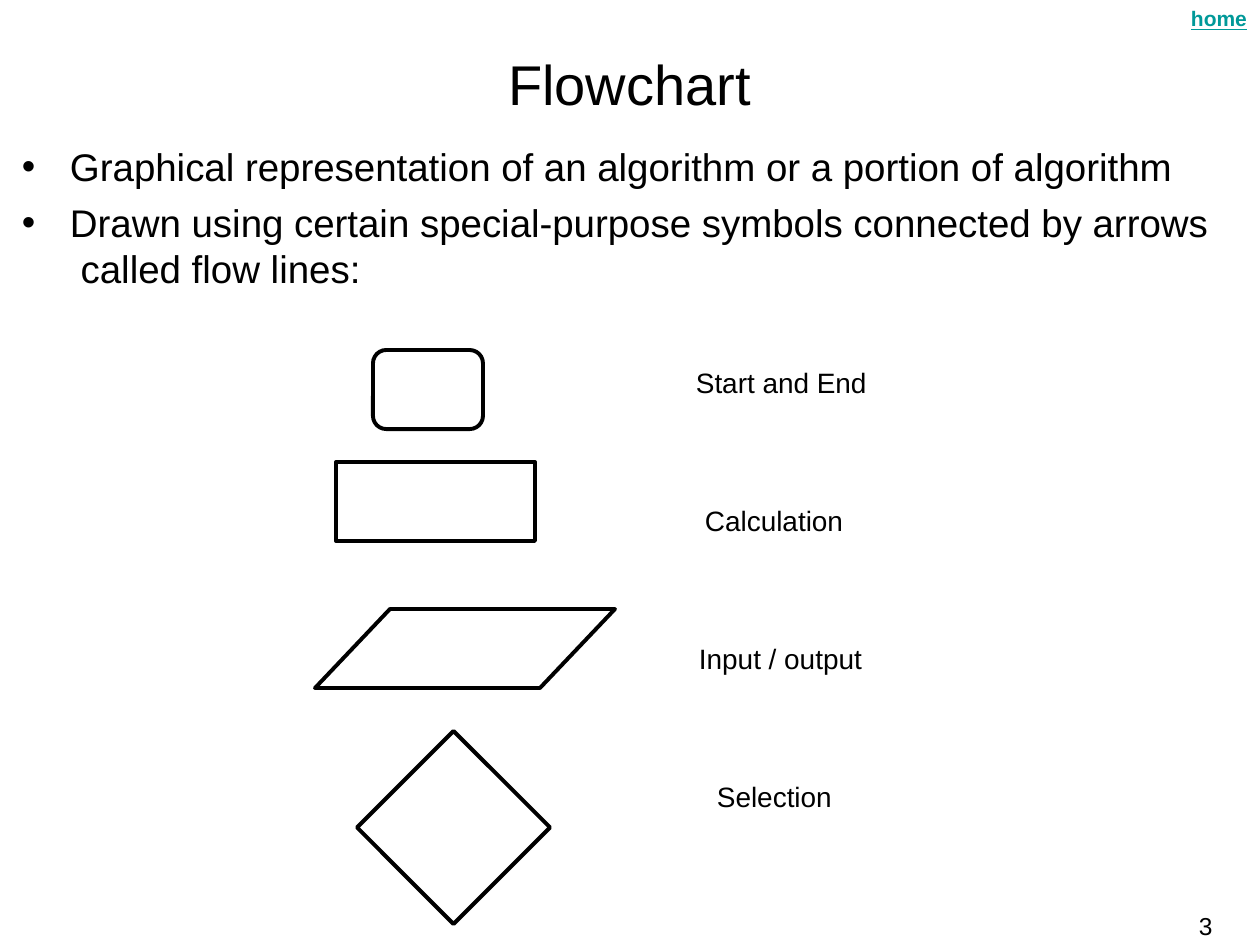
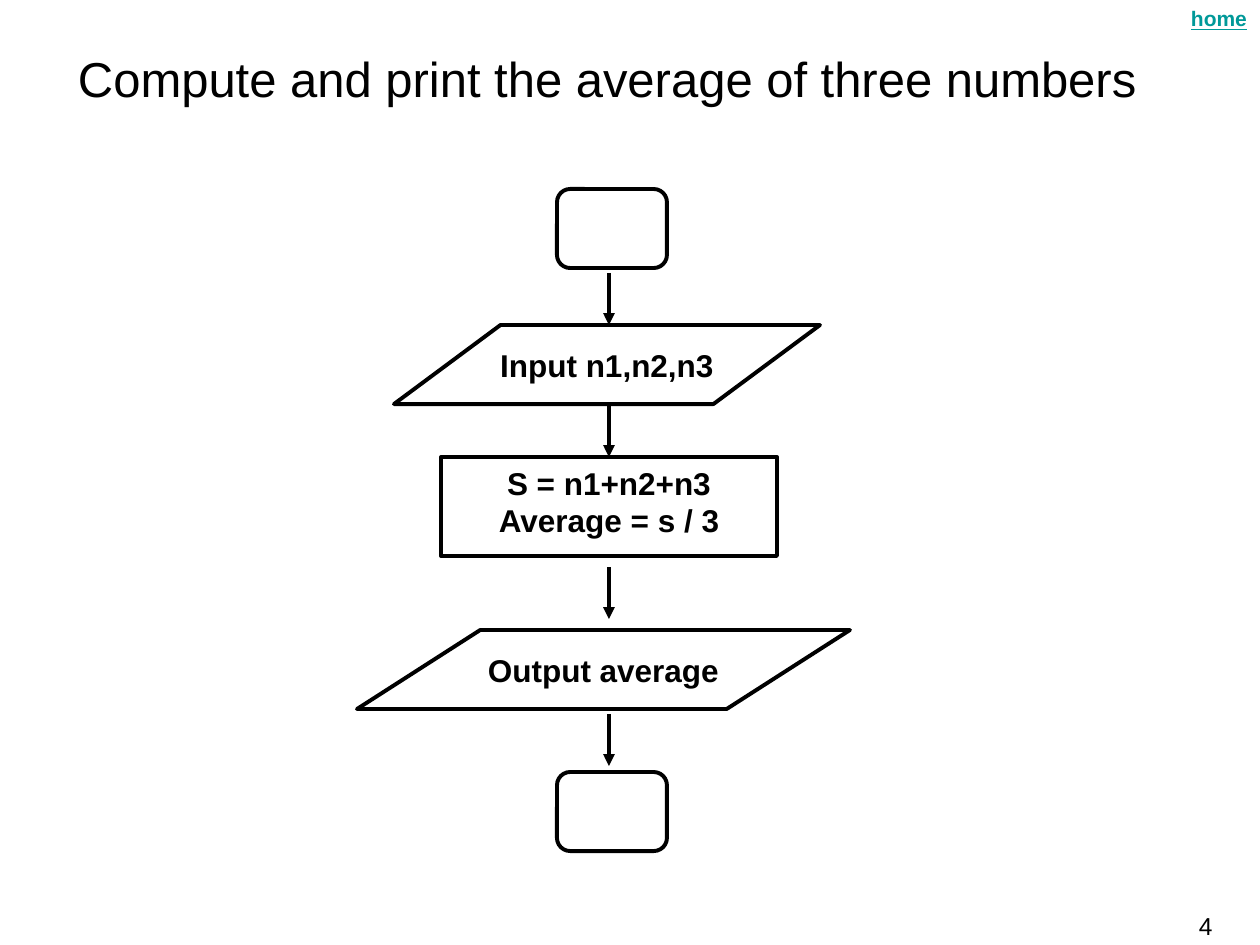
"""Build two slides on flowchart symbols and a flowchart that averages three numbers."""
from dataclasses import dataclass

from lxml import etree
from pptx import Presentation, util as u
from pptx.dml.color import RGBColor
from pptx.enum import shapes, text
from pptx.oxml.ns import qn


@dataclass
class Theme:
    font: str = "Arial"
    ink: str = "000000"
    link: str = "009999"
    line: float = 2.25
    title: int = 32
    long: int = 28
    body: int = 22
    label: int = 16
    step: int = 18
    home: int = 12
    page: int = 14


look = Theme()
PX = 914400 / 126


def write(shape, box, words, size, color=look.ink, bold=False,
          align=text.PP_ALIGN.LEFT, anchor=text.MSO_ANCHOR.TOP, wrap=False):
    """Place a shape and set its text in one style."""
    shape.left, shape.top, shape.width, shape.height = [round(v * PX) for v in box]
    frame = shape.text_frame
    frame.text = words
    frame.word_wrap = wrap
    frame.auto_size = text.MSO_AUTO_SIZE.NONE
    frame.vertical_anchor = anchor
    frame.margin_left = frame.margin_right = frame.margin_top = frame.margin_bottom = 0
    for para in frame.paragraphs:
        para.alignment = align
        para.space_before = u.Pt(0)
        for run in para.runs:
            run.font.name = look.font
            run.font.size = u.Pt(size)
            run.font.bold = bold
            run.font.color.rgb = RGBColor.from_string(color)
    return frame


def trace(shape):
    """Give a shape or connector the plain black line with round joins."""
    shape.line.color.rgb = RGBColor.from_string(look.ink)
    shape.line.width = u.Pt(look.line)
    ln = shape._element.spPr.find(qn("a:ln"))
    etree.SubElement(ln, qn("a:round"))
    return ln


deck = Presentation()
deck.slide_width, deck.slide_height = round(1260 * PX), round(945 * PX)

ROUND = shapes.MSO_SHAPE.ROUNDED_RECTANGLE
RECT = shapes.MSO_SHAPE.RECTANGLE
SLANT = shapes.MSO_SHAPE.PARALLELOGRAM
DIAMOND = shapes.MSO_SHAPE.DIAMOND

symbols = [
    (ROUND, (373, 350, 110, 79), "", 0),
    (RECT, (336, 462, 199, 79), "", 0),
    (SLANT, (315, 609, 300, 79), "", 0),
    (DIAMOND, (357, 731, 193, 193), "", 0),
]
steps = [
    (ROUND, (557, 189, 110, 79), "", 0),
    (SLANT, (394, 325, 426, 79), "Input n1,n2,n3", 0),
    (RECT, (441, 457, 336, 99), "S = n1+n2+n3\nAverage = s / 3", 10),
    (SLANT, (357, 630, 493, 79), "Output average", 0),
    (ROUND, (557, 772, 110, 79), "", 0),
]
pages = [
    (1, 3, "Flowchart", (508, 49, 246, 71), look.title, symbols),
    (5, 4, "Compute and print the average of three numbers",
     (78, 48, 1065, 62), look.long, steps),
]

for layout, number, title, box, size, figures in pages:
    slide = deck.slides.add_slide(deck.slide_layouts[layout])
    write(slide.shapes.title, box, title, size)

    home = slide.shapes.add_textbox(0, 0, 0, 0)
    frame = write(home, (1191, 6, 59, 29), "home", look.home, look.link, True)
    frame.paragraphs[0].runs[0].font.underline = True
    page = slide.shapes.add_textbox(0, 0, 0, 0)
    write(page, (1199, 911, 34, 31), str(number), look.page)

    for kind, box, words, lift in figures:
        shape = slide.shapes.add_shape(kind, 0, 0, 0, 0)
        shape.shadow.inherit = False
        shape.fill.background()
        trace(shape)
        if kind == SLANT:
            shape.adjustments[0] = box[2] / 4 / box[3]
        frame = write(shape, box, words, look.step, bold=True,
                      align=text.PP_ALIGN.CENTER, anchor=text.MSO_ANCHOR.MIDDLE)
        frame.margin_bottom = round(lift * PX)

intro, chart = deck.slides

points = ("Graphical representation of an algorithm or a portion of algorithm\n"
          "Drawn using certain special-purpose symbols connected by arrows\v called flow lines:")
frame = write(intro.placeholders[1], (21, 143, 1220, 170), points, look.body, wrap=True)
for para in frame.paragraphs:
    props = para._p.get_or_add_pPr()
    props.set("marL", str(round(49 * PX)))
    props.set("indent", str(round(-48 * PX)))
frame.paragraphs[1].space_before = u.Pt(5.5)

labels = [(696, "Start and End"), (705, "Calculation"),
          (699, "Input / output"), (717, "Selection")]
for row, (left, words) in enumerate(labels):
    label = intro.shapes.add_textbox(0, 0, 0, 0)
    write(label, (left, 366 + 138 * row, 175, 36), words, look.label)

for top in (273, 405, 567, 714):
    ends = [round(v * PX) for v in (609, top, 609, top + 52)]
    arrow = chart.shapes.add_connector(shapes.MSO_CONNECTOR.STRAIGHT, *ends)
    etree.SubElement(trace(arrow), qn("a:tailEnd"), type="triangle")
    etree.SubElement(arrow._element.spPr, qn("a:effectLst"))

deck.save("out.pptx")
